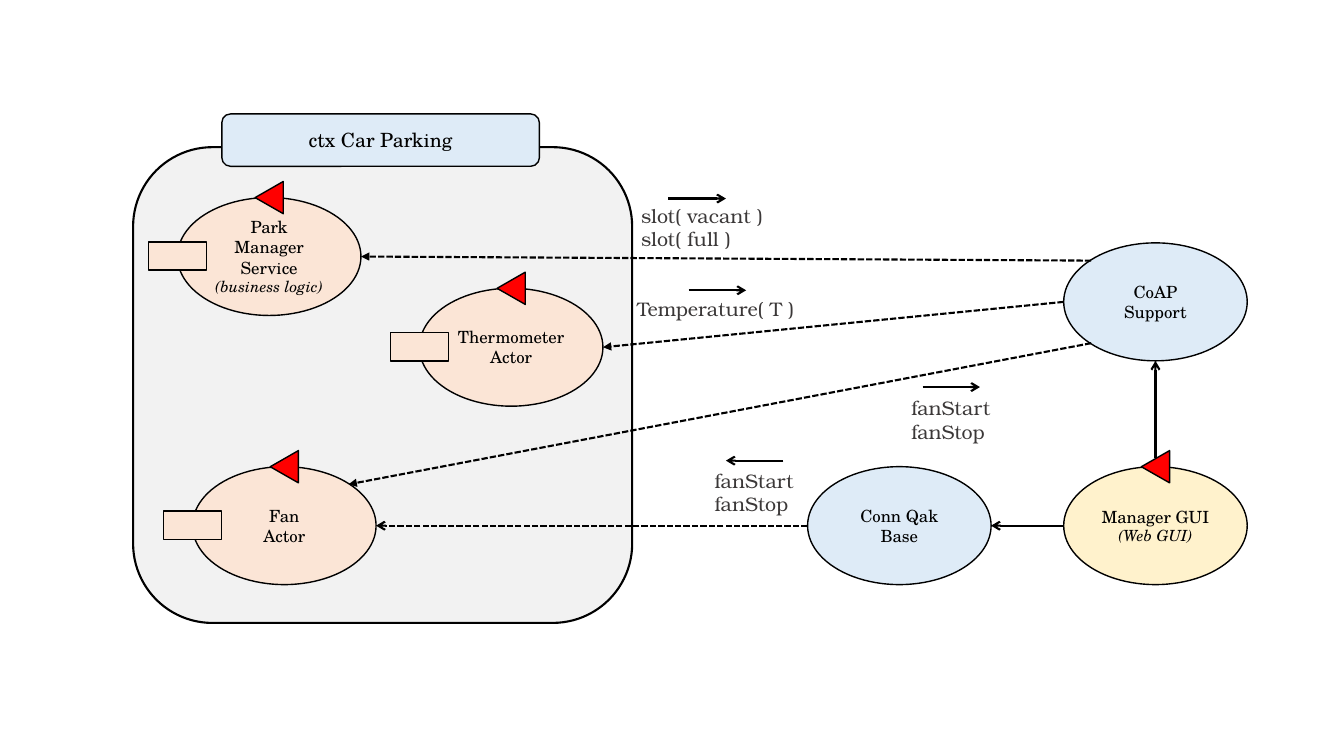
"""Builds the car parking actor diagram slide."""
from pptx import Presentation
from pptx.dml.color import RGBColor
from pptx.enum.dml import MSO_LINE
from pptx.enum.shapes import MSO_CONNECTOR, MSO_SHAPE as SHAPE
from pptx.enum.text import MSO_ANCHOR, PP_ALIGN
from pptx.oxml.xmlchemy import OxmlElement
from pptx.util import Inches, Pt

BLACK = RGBColor(0x00, 0x00, 0x00)
GRAY = RGBColor(0xF2, 0xF2, 0xF2)
PEACH = RGBColor(0xFB, 0xE5, 0xD6)
BLUE = RGBColor(0xDE, 0xEB, 0xF7)
YELLOW = RGBColor(0xFF, 0xF2, 0xCC)
RED = RGBColor(0xFF, 0x00, 0x00)
SLATE = RGBColor(0x3B, 0x38, 0x38)

NODE_FONT = {"name": "TeX Gyre Schola", "size": Pt(12)}
ROLE_FONT = {"name": "TeX Gyre Schola", "size": Pt(11), "italic": True}
CONTEXT_FONT = {"name": "TeX Gyre Schola", "size": Pt(14)}
MESSAGE_FONT = {"name": "TeX Gyre Bonum", "size": Pt(14)}

CONTEXT = "ctx Car Parking"
NODES = {
    "park": (1.76, 1.96, PEACH, ["Park Manager Service"], "(business logic)"),
    "thermometer": (4.16, 2.86, PEACH, ["Thermometer", "Actor"], None),
    "fan": (1.91, 4.63, PEACH, ["Fan", "Actor"], None),
    "connection": (8.01, 4.63, BLUE, ["Conn Qak Base"], None),
    "coap": (10.55, 2.41, BLUE, ["CoAP Support"], None),
    "gui": (10.55, 4.63, YELLOW, ["Manager GUI"], "(Web GUI)"),
}
FLAGGED = {"park", "thermometer", "fan", "gui"}
TABBED = {"park", "thermometer", "fan"}
LINKS = [
    ("gui", "flag", "coap", "bottom", False, "arrow"),
    ("gui", "left", "connection", "right", False, "arrow"),
    ("connection", "left", "fan", "right", True, "arrow"),
    ("coap", "upper left", "park", "right", True, "triangle"),
    ("coap", "left", "thermometer", "right", True, "triangle"),
    ("coap", "lower left", "fan", "upper right", True, "triangle"),
]
MESSAGES = [
    (["slot( vacant )", "slot( full )"], (6.26, 1.97, 1.43, 0.57), (6.63, 1.97), 1),
    (["Temperature( T )"], (6.22, 2.9, 1.79, 0.34), (6.83, 2.88), 1),
    (["fanStart", "fanStop"], (8.94, 3.88, 0.99, 0.57), (9.15, 3.84), 1),
    (["fanStart", "fanStop"], (6.99, 4.6, 0.99, 0.57), (7.77, 4.57), -1),
]

NODE_WIDTH, NODE_HEIGHT = 1.82, 1.17
MESSAGE_ARROW = 0.57
SITES = {
    "left": (0, 0.5), "right": (1, 0.5), "bottom": (0.5, 1), "flag": (0.5, -0.07),
    "upper left": (0.15, 0.15), "lower left": (0.15, 0.85), "upper right": (0.85, 0.15),
}


def add_block(kind, box, fill, weight=1):
    block = slide.shapes.add_shape(kind, *map(Inches, box))
    block.shadow.inherit = False
    block.fill.solid()
    block.fill.fore_color.rgb = fill
    block.line.color.rgb = BLACK
    block.line.width = Pt(weight)
    return block


def write(frame, lines, color, align):
    for index, (text, font) in enumerate(lines):
        paragraph = frame.paragraphs[0] if index == 0 else frame.add_paragraph()
        paragraph.alignment = align
        run = paragraph.add_run()
        run.text = text
        run.font.color.rgb = color
        for key, value in font.items():
            setattr(run.font, key, value)


def add_arrow(start, end, dashed=False, head="arrow"):
    arrow = slide.shapes.add_connector(MSO_CONNECTOR.STRAIGHT, *map(Inches, (*start, *end)))
    arrow.line.color.rgb = BLACK
    arrow.line.width = Pt(1.5)
    if dashed:
        arrow.line.dash_style = MSO_LINE.SQUARE_DOT
    tip = OxmlElement("a:tailEnd")
    tip.set("type", head)
    arrow.line._get_or_add_ln().append(tip)
    arrow._element.spPr.append(OxmlElement("a:effectLst"))


def add_node(name):
    left, top, fill, title, role = NODES[name]
    oval = add_block(SHAPE.OVAL, (left, top, NODE_WIDTH, NODE_HEIGHT), fill)
    oval.text_frame.vertical_anchor = MSO_ANCHOR.MIDDLE
    lines = [(text, NODE_FONT) for text in title]
    if role:
        lines.append((role, ROLE_FONT))
    write(oval.text_frame, lines, BLACK, PP_ALIGN.CENTER)
    if name in FLAGGED:
        flag = add_block(SHAPE.ISOSCELES_TRIANGLE, (left + 0.75, top - 0.14, 0.32, 0.28), RED)
        flag.rotation = 270
    if name in TABBED:
        add_block(SHAPE.RECTANGLE, (left - 0.29, top + 0.44, 0.58, 0.28), fill)


def site(name, side):
    left, top = NODES[name][:2]
    across, down = SITES[side]
    return left + across * NODE_WIDTH, top + down * NODE_HEIGHT


deck = Presentation()
deck.slide_width, deck.slide_height = Inches(13.33), Inches(7.5)
slide = deck.slides.add_slide(deck.slide_layouts[6])

add_block(SHAPE.ROUNDED_RECTANGLE, (1.32, 1.46, 4.95, 4.72), GRAY, 1.5)
context = add_block(SHAPE.ROUNDED_RECTANGLE, (2.2, 1.13, 3.15, 0.52), BLUE)
context.text_frame.vertical_anchor = MSO_ANCHOR.MIDDLE
write(context.text_frame, [(CONTEXT, CONTEXT_FONT)], BLACK, PP_ALIGN.CENTER)

for name in NODES:
    add_node(name)
for source, source_side, target, target_side, dashed, head in LINKS:
    add_arrow(site(source, source_side), site(target, target_side), dashed, head)
for texts, box, (x, y), direction in MESSAGES:
    message = slide.shapes.add_textbox(*map(Inches, box))
    message.text_frame.word_wrap = False
    write(message.text_frame, [(text, MESSAGE_FONT) for text in texts], SLATE, PP_ALIGN.LEFT)
    add_arrow((x, y), (x + direction * MESSAGE_ARROW, y))

deck.save("out.pptx")
